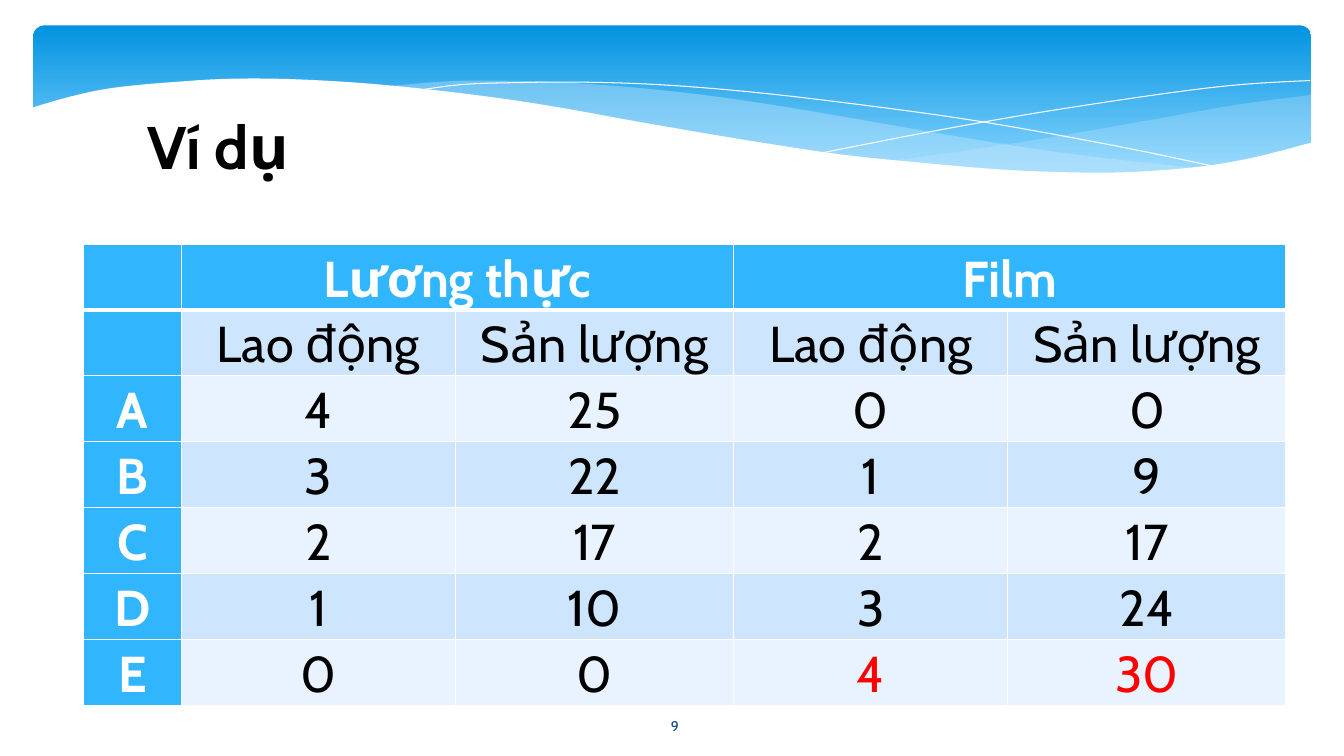
from dataclasses import dataclass
from typing import Optional

from pptx import Presentation
from pptx.dml.color import RGBColor
from pptx.enum.shapes import MSO_SHAPE
from pptx.enum.text import MSO_ANCHOR, PP_ALIGN
from pptx.oxml.ns import qn
from pptx.util import Cm, Pt
from lxml.etree import SubElement

FONT = "Cabin"
COLORS = {
    "band_top": "0293E0", "band_bottom": "83D3FE", "mist": "C6E7FC",
    "white": "FFFFFF", "black": "000000", "navy": "073E87", "red": "FF0000",
    "header": "31B6FD", "row_dark": "CEE5FE", "row_light": "E8F3FF",
}
Point = tuple[float, float]


@dataclass
class Wave:
    """Smooth curves in cm, joined at corners; closed when it has a fill."""
    curves: list[list[Point]]
    fill: Optional[str] = None
    opacity: int = 100


@dataclass
class Label:
    text: str
    left: float
    top: float
    width: float
    height: float
    size: float
    color: str
    bold: bool = False
    anchor: MSO_ANCHOR = MSO_ANCHOR.TOP


WAVES = [
    # Right swell
    Wave([[(33.05, 2.39), (31.17, 2.64), (29.13, 3), (26.37, 3.48), (23.9, 3.86), (22.4, 4.06)],
          [(22.4, 4.06), (24.33, 4.24), (26.04, 4.34), (27.56, 4.37), (28.91, 4.32),
           (30.38, 4.19), (31.67, 3.96), (33.05, 3.61)]], "mist", 29),
    # Middle swell
    Wave([[(30.23, 4.24), (28.35, 4.04), (26.26, 3.78), (23.9, 3.4), (21.31, 2.95), (18.8, 2.54),
           (16.56, 2.26), (14.22, 2.08), (12.24, 2.03), (11.1, 2.06), (9.7, 2.18)],
          [(9.7, 2.18), (11.58, 2.39), (13.69, 2.69), (15.21, 2.95), (17.93, 3.43),
           (20.37, 3.81), (22.53, 4.09), (24.46, 4.27), (26.16, 4.37), (27.69, 4.39),
           (29.03, 4.34), (30.23, 4.24)]], "mist", 40),
    # Two hairlines
    Wave([[(10.46, 2.29), (11.63, 2.13), (13.11, 2.08), (14.66, 2.07), (16.56, 2.13),
           (18.85, 2.31), (21.54, 2.62), (24.64, 3.05), (28.14, 3.68), (30.73, 4.22)]]),
    Wave([[(20.78, 3.84), (23.55, 3.3), (26.29, 2.82), (29.34, 2.36), (31.29, 2.13),
           (33.02, 2.03)]]),
    # White lower edge
    Wave([[(33.1, 3.58), (31.5, 3.99), (30.05, 4.22), (28.35, 4.34), (26.87, 4.34), (25.2, 4.27),
           (23.32, 4.11), (21.18, 3.89), (18.8, 3.53), (16.1, 3.07), (14.17, 2.72),
           (12.34, 2.44), (9.91, 2.16), (7.77, 2.01), (5.97, 1.98), (4.47, 2.06),
           (2.87, 2.21), (1.75, 2.44), (0.79, 2.72)],
          [(0.79, 5.69), (33.1, 5.69)]], "white"),
]
LABELS = [
    Label("9", 14.86, 17.78, 4.29, 1.02, 10, "navy", anchor=MSO_ANCHOR.MIDDLE),
    Label("Ví dụ", 0.1, 2.64, 10.8, 3.48, 42.9, "black", bold=True),
]
COLUMN_WIDTHS = [2.46, 6.91, 7.01, 6.91, 7.01]
ROW_HEIGHT = 1.66
ROWS = [
    ["", "Lương thực", "", "Film", ""],
    ["", "Lao động", "Sản lượng", "Lao động", "Sản lượng"],
    ["A", "4", "25", "0", "0"],
    ["B", "3", "22", "1", "9"],
    ["C", "2", "17", "2", "17"],
    ["D", "1", "10", "3", "24"],
    ["E", "0", "0", "4", "30"],
]
RED_CELLS = {(6, 3), (6, 4)}


def rgb(name: str) -> RGBColor:
    return RGBColor.from_string(COLORS[name])


def smooth(knots: list[Point], steps: int = 4) -> list[Point]:
    """Catmull-Rom curve through the knots."""
    if len(knots) < 3:
        return knots
    ends = [knots[0], *knots, knots[-1]]
    points = [knots[0]]
    for a, b, c, d in zip(ends, ends[1:], ends[2:], ends[3:]):
        for step in range(1, steps + 1):
            t = step / steps
            x, y = (q + t / 2 * (r - p + t * (2 * p - 5 * q + 4 * r - s
                                             + t * (3 * q - p - 3 * r + s)))
                    for p, q, r, s in zip(a, b, c, d))
            points.append((x, y))
    return points


def draw_band(page) -> None:
    band = page.shapes.add_shape(MSO_SHAPE.ROUNDED_RECTANGLE,
                                 Cm(0.84), Cm(0.64), Cm(32.2), Cm(3.96))
    band.adjustments[0] = 0.071
    band.shadow.inherit = False
    band.line.fill.background()
    band.fill.gradient()
    band.fill.gradient_angle = 270
    stops = (("band_top", 0), ("band_bottom", 0.9))
    for stop, (color, position) in zip(band.fill.gradient_stops, stops):
        stop.color.rgb = rgb(color)
        stop.position = position


def draw_wave(page, wave: Wave) -> None:
    points = [(Cm(x), Cm(y)) for curve in wave.curves for x, y in smooth(curve)]
    builder = page.shapes.build_freeform(*points[0])
    builder.add_line_segments(points[1:], close=wave.fill is not None)
    shape = builder.convert_to_shape()
    shape.shadow.inherit = False
    if wave.fill is None:
        shape.fill.background()
        shape.line.color.rgb = rgb("white")
        shape.line.width = Pt(0)
        return
    shape.line.fill.background()
    shape.fill.solid()
    shape.fill.fore_color.rgb = rgb(wave.fill)
    if wave.opacity < 100:
        color = shape.fill._xPr.find(qn("a:solidFill"))[0]
        SubElement(color, qn("a:alpha"), val=str(wave.opacity * 1000))


def format_text(para, size: float, color: str, bold: bool) -> None:
    para.alignment = PP_ALIGN.CENTER
    for span in para.runs:
        span.font.name = FONT
        span.font.size = Pt(size)
        span.font.bold = bold
        span.font.color.rgb = rgb(color)


def draw_label(page, label: Label) -> None:
    box = page.shapes.add_textbox(Cm(label.left), Cm(label.top), Cm(label.width), Cm(label.height))
    frame = box.text_frame
    frame.word_wrap = True
    frame.vertical_anchor = label.anchor
    frame.text = label.text
    format_text(frame.paragraphs[0], label.size, label.color, label.bold)


def add_borders(cell, bottom: float) -> None:
    properties = cell._tc.get_or_add_tcPr()
    for side, width in (("L", 1), ("R", 1), ("T", 1), ("B", bottom)):
        line = SubElement(properties, qn(f"a:ln{side}"), w=str(Pt(width)))
        fill = SubElement(line, qn("a:solidFill"))
        SubElement(fill, qn("a:srgbClr"), val=COLORS["white"])


def draw_table(page) -> None:
    table = page.shapes.add_table(len(ROWS), len(COLUMN_WIDTHS), Cm(2.11), Cm(6.15),
                                  Cm(sum(COLUMN_WIDTHS)), Cm(ROW_HEIGHT * len(ROWS))).table
    for column, width in zip(table.columns, COLUMN_WIDTHS):
        column.width = Cm(width)
    for r, texts in enumerate(ROWS):
        table.rows[r].height = Cm(ROW_HEIGHT)
        for c, text in enumerate(texts):
            cell = table.cell(r, c)
            heading = r == 0 or c == 0
            add_borders(cell, bottom=3 if r == 0 else 1)
            cell.fill.solid()
            cell.fill.fore_color.rgb = rgb(
                "header" if heading else "row_dark" if r % 2 else "row_light")
            cell.margin_left = cell.margin_right = Cm(0.18)
            cell.margin_top = cell.margin_bottom = Cm(0)
            if text:
                cell.text_frame.text = text
                para = cell.text_frame.paragraphs[0]
                para.line_spacing = 1.07
                para.space_after = Pt(8)
                color = "white" if heading else "red" if (r, c) in RED_CELLS else "black"
                format_text(para, 36, color, heading)
    for c in (1, 3):
        table.cell(0, c).merge(table.cell(0, c + 1))


def main() -> None:
    deck = Presentation()
    deck.slide_width, deck.slide_height = Cm(33.87), Cm(19.05)
    page = deck.slides.add_slide(deck.slide_layouts[6])
    # Wavy header
    draw_band(page)
    for wave in WAVES:
        draw_wave(page, wave)
    # Title, page number and table
    for label in LABELS:
        draw_label(page, label)
    draw_table(page)
    deck.save("out.pptx")


if __name__ == "__main__":
    main()
